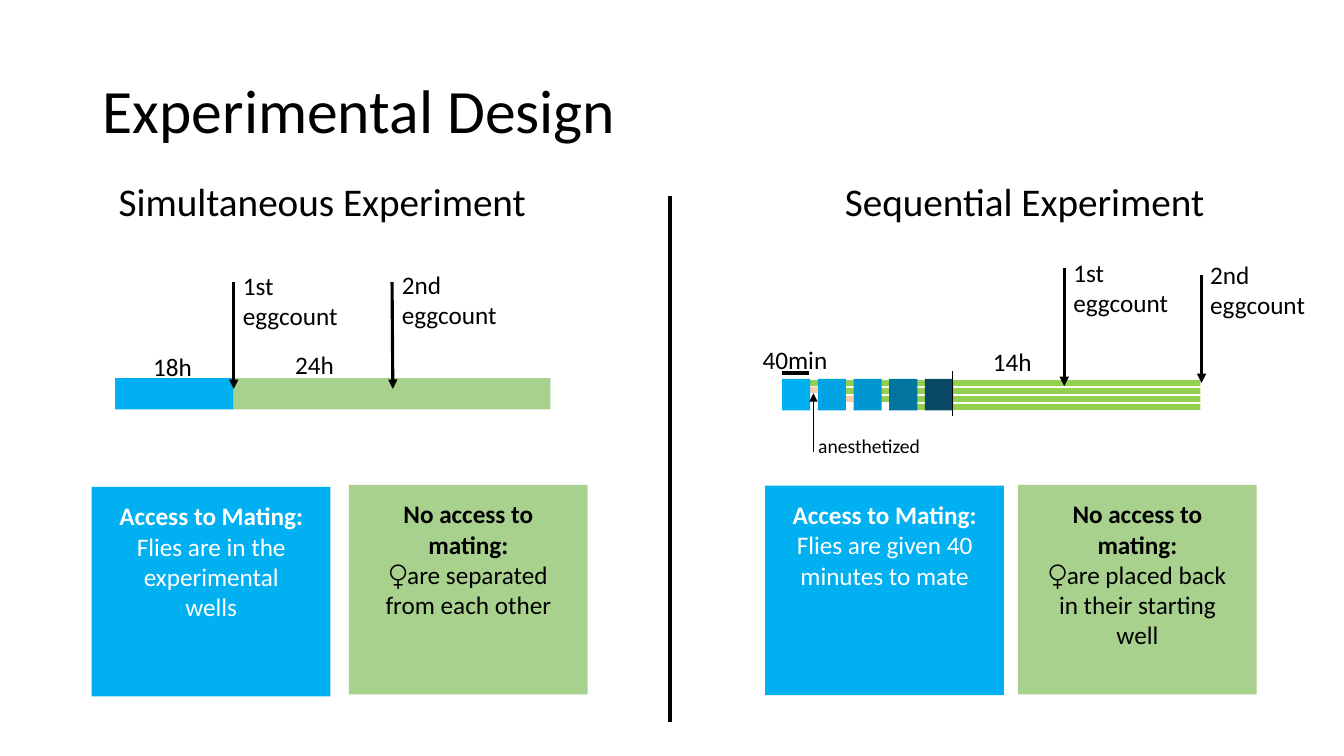
from dataclasses import dataclass

from lxml import etree
from pptx import Presentation
from pptx.dml.color import RGBColor
from pptx.enum import shapes, text
from pptx.oxml import ns
from pptx.slide import Slide
from pptx.text.text import TextFrame
from pptx.util import Cm, Pt


@dataclass(frozen=True)
class Theme:
    font: str = "Calibri"
    black: str = "000000"
    white: str = "FFFFFF"
    mating: str = "00B0F0"
    apart: str = "A9D18E"
    stripe: str = "92D050"
    asleep: str = "F8CBAD"
    title: float = 44
    heading: float = 28
    body: float = 18
    small: float = 14


@dataclass(frozen=True)
class Bar:
    """A filled rectangle, in centimetres."""
    x: float
    y: float
    w: float
    h: float
    fill: str


@dataclass(frozen=True)
class Label:
    """A text box, in centimetres."""
    x: float
    y: float
    w: float
    h: float
    words: str
    size: float = 18
    align: text.PP_ALIGN = text.PP_ALIGN.LEFT


@dataclass(frozen=True)
class Line:
    """A straight line, with its arrowhead at the second point."""
    x1: float
    y1: float
    x2: float
    y2: float
    width: float = 2.25
    arrow: bool = False


@dataclass(frozen=True)
class Card:
    """A coloured panel with a bold lead and an explanation."""
    x: float
    y: float
    fill: str
    color: str
    lead: str
    detail: str
    text_h: float


T = Theme()
LEFT, CENTER = text.PP_ALIGN.LEFT, text.PP_ALIGN.CENTER


def write(tf: TextFrame, words: str, *, size: float = T.body, color: str = T.black,
          align: text.PP_ALIGN = LEFT, bold_lead: bool = False) -> None:
    """Write one paragraph per line; bold_lead makes the first one bold."""
    for i, line in enumerate(words.split("\n")):
        p = tf.paragraphs[0] if i == 0 else tf.add_paragraph()
        p.alignment = align
        r = p.add_run()
        r.text = line
        r.font.name, r.font.size = T.font, Pt(size)
        r.font.bold = bold_lead and i == 0
        r.font.color.rgb = RGBColor.from_string(color)


def add_bar(slide: Slide, b: Bar) -> None:
    sp = slide.shapes.add_shape(shapes.MSO_SHAPE.RECTANGLE, Cm(b.x), Cm(b.y), Cm(b.w), Cm(b.h))
    sp.shadow.inherit = False
    sp.fill.solid()
    sp.fill.fore_color.rgb = RGBColor.from_string(b.fill)
    sp.line.fill.background()


def add_frame(slide: Slide, x: float, y: float, w: float, h: float) -> TextFrame:
    tf = slide.shapes.add_textbox(Cm(x), Cm(y), Cm(w), Cm(h)).text_frame
    tf.word_wrap = True
    tf.auto_size = text.MSO_AUTO_SIZE.SHAPE_TO_FIT_TEXT
    return tf


def add_label(slide: Slide, t: Label) -> None:
    write(add_frame(slide, t.x, t.y, t.w, t.h), t.words, size=t.size, align=t.align)


def add_line(slide: Slide, c: Line) -> None:
    sp = slide.shapes.add_connector(shapes.MSO_CONNECTOR.STRAIGHT,
                                    Cm(c.x1), Cm(c.y1), Cm(c.x2), Cm(c.y2))
    sp.line.color.rgb = RGBColor.from_string(T.black)
    sp.line.width = Pt(c.width)
    if c.arrow:
        etree.SubElement(sp.line._get_or_add_ln(), ns.qn("a:tailEnd"), type="triangle")
    etree.SubElement(sp._element.spPr, ns.qn("a:effectLst"))


def add_card(slide: Slide, c: Card) -> None:
    add_bar(slide, Bar(c.x, c.y, 6.02, 5.28, c.fill))
    tf = add_frame(slide, c.x + 0.41, c.y + 0.22, 5.21, c.text_h)
    write(tf, f"{c.lead}\n{c.detail}", color=c.color, align=CENTER, bold_lead=True)


# Timelines: the sequential one has five mating periods over four stripes
END = 30.25
SQUARES = (T.mating, "00A4E2", "0096CF", "01749F", "084863")
STRIPE_STARTS = (20.24, 21.26, 22.05, 22.66)
BARS = [
    Bar(2.9, 9.53, 2.99, 0.79, T.mating),
    Bar(5.89, 9.53, 7.98, 0.79, T.apart),
    Bar(21.31, 9.98, 0.2, 0.15, T.asleep),
    Bar(20.4, 9.75, 0.2, 0.15, T.asleep),
    *(Bar(x, 9.58 + 0.2 * i, END - x, 0.15, T.stripe) for i, x in enumerate(STRIPE_STARTS)),
    *(Bar(19.71 + 0.9 * i, 9.55, 0.71, 0.79, fill) for i, fill in enumerate(SQUARES)),
]

LABELS = [
    Label(2.34, 4.34, 11.56, 1.44, "Simultaneous Experiment", T.heading, CENTER),
    Label(20.04, 4.34, 11.56, 1.44, "Sequential Experiment", T.heading, CENTER),
    Label(3.61, 8.74, 2.84, 1.02, "18h"),
    Label(7.19, 8.69, 2.84, 1.02, "24h"),
    Label(18.97, 8.56, 2.84, 1.02, "40min"),
    Label(24.77, 8.61, 2.84, 1.02, "14h"),
    Label(5.87, 6.68, 4.34, 1.8, "1st\neggcount"),
    Label(9.88, 6.65, 4.34, 1.8, "2nd\neggcount"),
    Label(26.8, 6.35, 4.34, 1.8, "1st\neggcount"),
    Label(30.25, 6.4, 4.34, 1.8, "2nd\neggcount"),
    Label(20.37, 10.82, 4.34, 0.86, "anesthetized", T.small),
]

LINES = [
    Line(16.89, 4.93, 16.89, 18.19, 3),
    Line(19.71, 9.4, 20.4, 9.4),
    Line(24, 9.35, 24, 10.49, 1),
    Line(5.89, 7.11, 5.89, 9.8, arrow=True),
    Line(9.88, 7.11, 9.9, 9.8, arrow=True),
    Line(26.82, 6.76, 26.82, 9.73, arrow=True),
    Line(30.28, 6.93, 30.28, 9.65, arrow=True),
    Line(20.5, 11.4, 20.5, 9.91, 1, arrow=True),
]

ACCESS, NO_ACCESS = "Access to Mating:", "No access to mating:"
CARDS = [
    Card(2.31, 12.27, T.mating, T.white, ACCESS, "Flies are in the experimental wells", 3.33),
    Card(8.79, 12.22, T.apart, T.black, NO_ACCESS, "♀are separated from each other", 3.33),
    Card(19.28, 12.24, T.mating, T.white, ACCESS, "Flies are given 40 minutes to mate", 2.57),
    Card(25.65, 12.22, T.apart, T.black, NO_ACCESS, "♀are placed back in their starting well", 4.11),
]


def main() -> None:
    prs = Presentation()
    prs.slide_width, prs.slide_height = Cm(33.87), Cm(19.05)
    slide = prs.slides.add_slide(prs.slide_layouts[5])

    # Title
    title = slide.shapes.title
    title.left, title.top, title.width, title.height = Cm(2.34), Cm(1.02), Cm(29.21), Cm(3.68)
    tf = title.text_frame
    tf.auto_size = text.MSO_AUTO_SIZE.NONE
    tf.vertical_anchor = text.MSO_ANCHOR.MIDDLE
    write(tf, "Experimental Design", size=T.title)
    tf.paragraphs[0].line_spacing = 0.9

    # Timelines, their labels and arrows, then the explanations
    for draw, items in ((add_bar, BARS), (add_label, LABELS), (add_line, LINES), (add_card, CARDS)):
        for item in items:
            draw(slide, item)

    prs.save("out.pptx")


if __name__ == "__main__":
    main()
